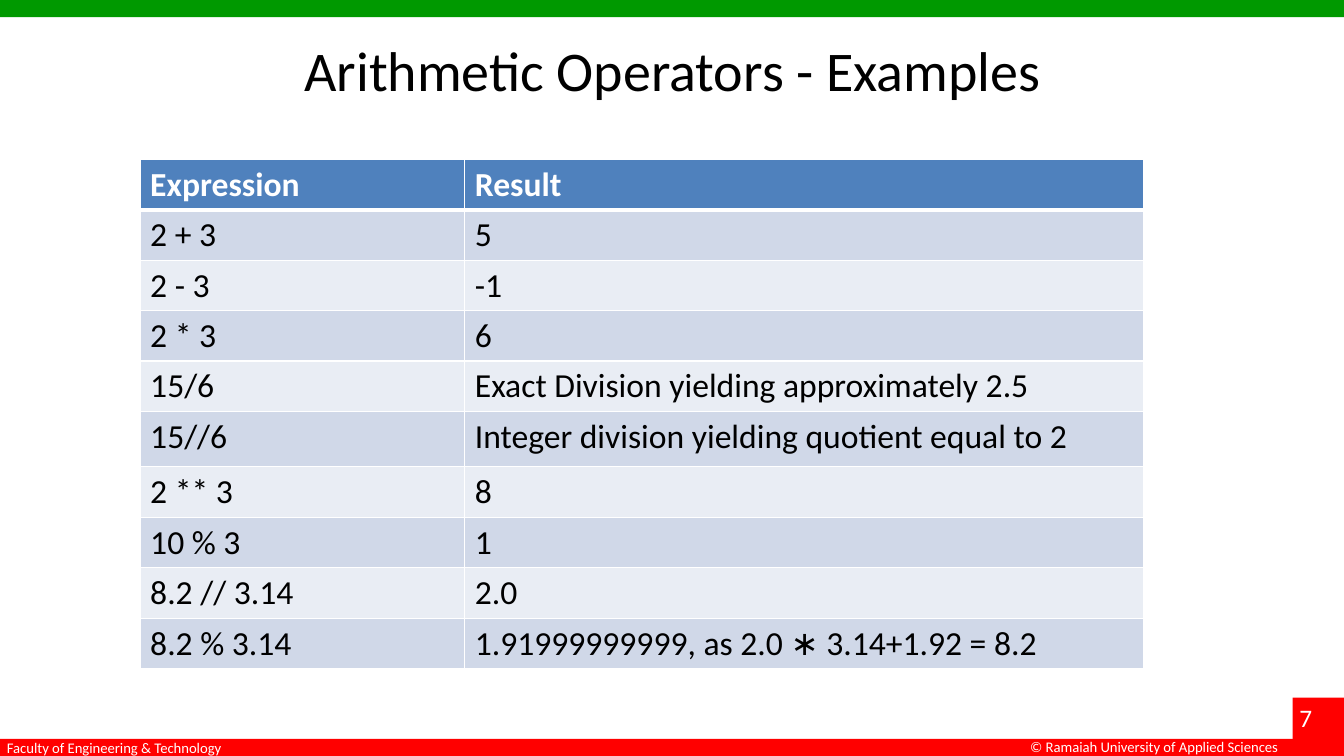
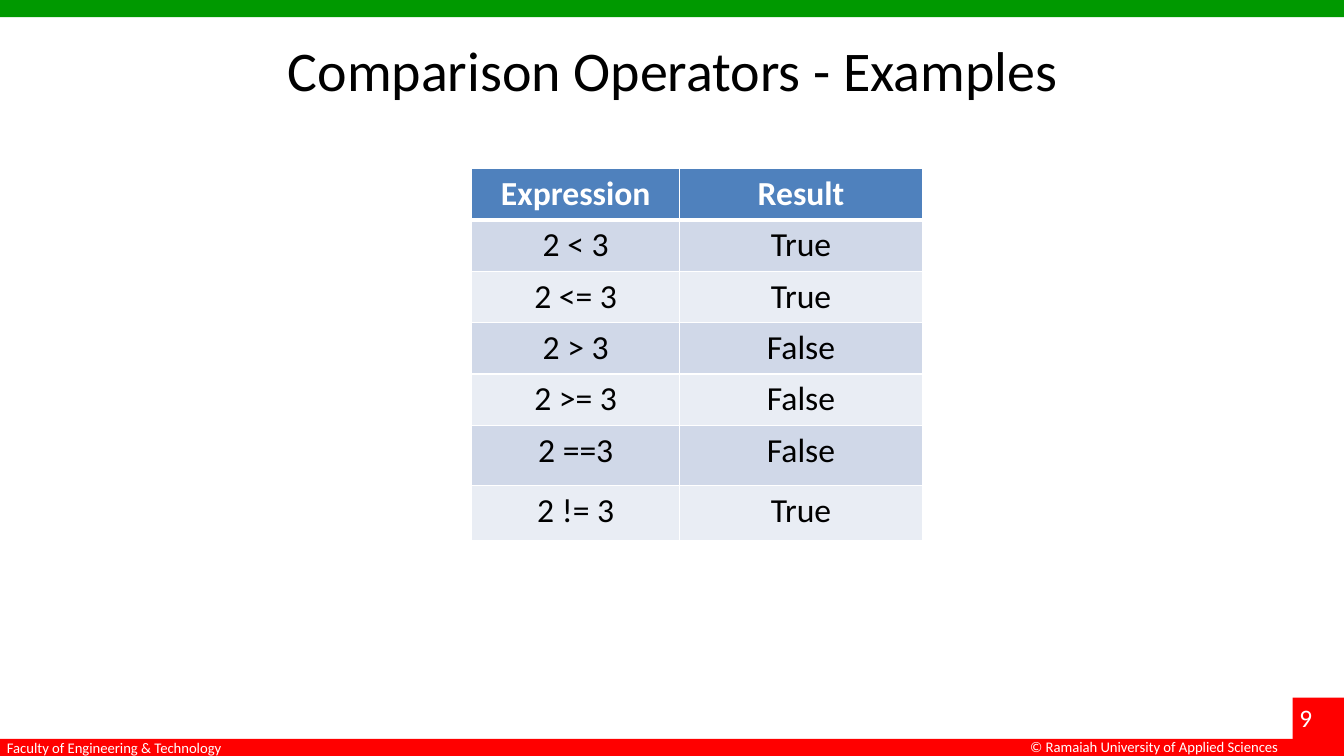
from lxml import etree
from pptx import Presentation
from pptx.dml.color import RGBColor
from pptx.enum.shapes import MSO_SHAPE
from pptx.enum.text import MSO_ANCHOR, MSO_AUTO_SIZE, PP_ALIGN
from pptx.oxml.ns import qn
from pptx.util import Inches, Pt

FONT = "Calibri"
WHITE = RGBColor(0xFF, 0xFF, 0xFF)
BLACK = RGBColor(0x00, 0x00, 0x00)
GREEN = RGBColor(0x00, 0x99, 0x00)
RED = RGBColor(0xFF, 0x00, 0x00)
HEADER_BLUE = RGBColor(0x4F, 0x81, 0xBD)
ROW_FILLS = (RGBColor(0xE9, 0xED, 0xF4), RGBColor(0xD0, 0xD8, 0xE8))

SLIDE_W, SLIDE_H = 13.33, 7.5
BANDS = [  # left, top, width, height, colour
    (0, 0, SLIDE_W, 0.17, GREEN),
    (0, 7.33, SLIDE_W, 0.17, RED),
    (12.82, 6.92, 0.51, 0.58, RED),
]
FOOTERS = [  # text, left, top, width
    ("Faculty of Engineering & Technology", -0.03, 7.28, 2.38),
    ("© Ramaiah University of Applied Sciences", 10.12, 7.27, 2.7),
]

SLIDES = [
    {
        "title": "Arithmetic Operators - Examples",
        "number": "7",
        "at": (1.39, 1.58),
        "columns": (3.22, 6.73),
        "row_height": 0.49,
        "tall_rows": {5: 0.55, 6: 0.5},
        "align": PP_ALIGN.LEFT,
        "rows": [
            ("Expression", "Result"),
            ("2 + 3", "5"),
            ("2 - 3", "-1"),
            ("2 * 3", "6"),
            ("15/6", "Exact Division yielding approximately 2.5"),
            ("15//6", "Integer division yielding quotient equal to 2"),
            ("2 ** 3", "8"),
            ("10 % 3", "1"),
            ("8.2 // 3.14", "2.0"),
            ("8.2 % 3.14", "1.91999999999, as 2.0 ∗ 3.14+1.92 = 8.2"),
        ],
    },
    {
        "title": "Comparison Operators - Examples",
        "number": "9",
        "at": (4.68, 1.67),
        "columns": (2.06, 2.41),
        "row_height": 0.51,
        "tall_rows": {5: 0.6, 6: 0.54},
        "align": PP_ALIGN.CENTER,
        "rows": [
            ("Expression", "Result"),
            ("2 < 3", "True"),
            ("2 <= 3", "True"),
            ("2 > 3", "False"),
            ("2 >= 3", "False"),
            ("2 ==3", "False"),
            ("2 != 3", "True"),
        ],
    },
]


def style(p, size, color, align=PP_ALIGN.LEFT, bold=False):
    p.alignment = align
    p.font.name = FONT
    p.font.size = Pt(size)
    p.font.bold = bold
    p.font.color.rgb = color


def add_label(s, text, left, top, width, height, size):
    tf = s.shapes.add_textbox(*map(Inches, (left, top, width, height))).text_frame
    tf.word_wrap = False
    tf.auto_size = MSO_AUTO_SIZE.SHAPE_TO_FIT_TEXT
    tf.text = text
    style(tf.paragraphs[0], size, WHITE)


def add_frame(s, number):
    """Draw the bands, page number and footers that every slide shares."""
    for *box, color in BANDS:
        band = s.shapes.add_shape(MSO_SHAPE.RECTANGLE, *map(Inches, box))
        band.shadow.inherit = False
        band.fill.solid()
        band.fill.fore_color.rgb = color
        band.line.fill.background()
    add_label(s, number, 12.79, 6.92, 0.5, 0.4, 18)
    for text, left, top, width in FOOTERS:
        add_label(s, text, left, top, width, 0.28, 10.5)


def set_title(s, text):
    title = s.shapes.title
    title.left, title.top = Inches(0.67), Inches(0.3)
    title.width, title.height = Inches(12), Inches(1.25)
    tf = title.text_frame
    tf.text = text
    tf.vertical_anchor = MSO_ANCHOR.TOP
    style(tf.paragraphs[0], 40, BLACK, PP_ALIGN.CENTER)


def set_borders(cell, top, bottom):
    tc_pr = cell._tc.get_or_add_tcPr()
    for side, width in (("L", 1), ("R", 1), ("T", top), ("B", bottom)):
        ln = etree.SubElement(tc_pr, qn(f"a:ln{side}"), w=str(Pt(width)))
        fill = etree.SubElement(ln, qn("a:solidFill"))
        etree.SubElement(fill, qn("a:srgbClr"), val=str(WHITE))


def add_operator_table(s, content):
    rows, columns = content["rows"], content["columns"]
    heights = [content["tall_rows"].get(i, content["row_height"])
               for i in range(len(rows))]
    box = (*content["at"], sum(columns), sum(heights))
    table = s.shapes.add_table(len(rows), len(columns), *map(Inches, box)).table
    for column, width in zip(table.columns, columns):
        column.width = Inches(width)
    for i, (row, height, texts) in enumerate(zip(table.rows, heights, rows)):
        row.height = Inches(height)
        header = i == 0
        for cell, text in zip(row.cells, texts):
            set_borders(cell, top=3 if i == 1 else 1, bottom=3 if header else 1)
            cell.fill.solid()
            cell.fill.fore_color.rgb = HEADER_BLUE if header else ROW_FILLS[i % 2]
            cell.text = text
            style(cell.text_frame.paragraphs[0], 24, WHITE if header else BLACK,
                  content["align"], header)


def main():
    prs = Presentation()
    prs.slide_width, prs.slide_height = Inches(SLIDE_W), Inches(SLIDE_H)
    for content in SLIDES:
        s = prs.slides.add_slide(prs.slide_layouts[5])
        add_frame(s, content["number"])
        set_title(s, content["title"])
        add_operator_table(s, content)
    prs.save("out.pptx")


if __name__ == "__main__":
    main()
